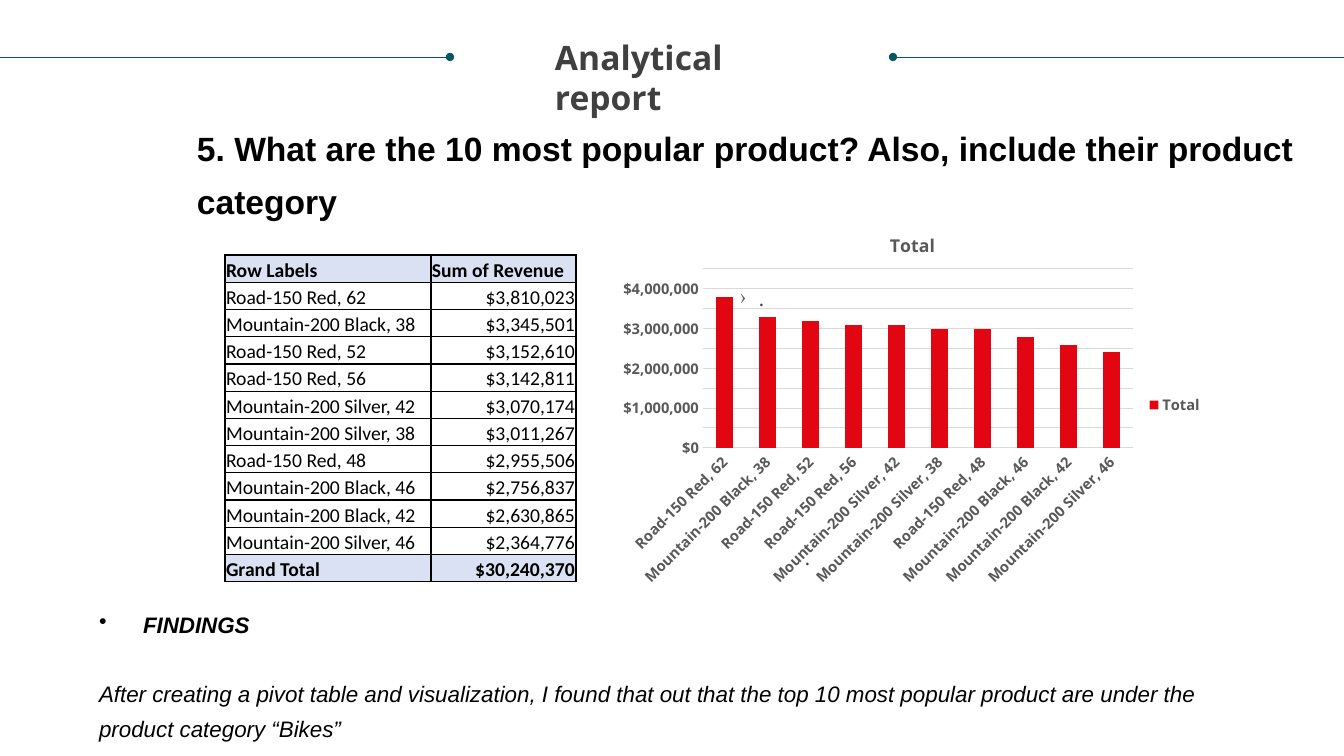
from lxml.etree import SubElement
from pptx import Presentation
from pptx.chart.data import CategoryChartData
from pptx.dml.color import RGBColor
from pptx.enum.chart import XL_CHART_TYPE, XL_LEGEND_POSITION, XL_TICK_MARK
from pptx.enum.shapes import MSO_CONNECTOR
from pptx.enum.text import MSO_ANCHOR, MSO_AUTO_SIZE, PP_ALIGN
from pptx.oxml import parse_xml
from pptx.oxml.ns import nsdecls, qn
from pptx.util import Pt

PX = 914400 / 100.8
COLORS = {"ink": "000000", "title": "404040", "rule": "085764", "band": "D9E1F2",
          "axis": "595959", "grid": "D9D9D9", "bar": "E20613", "chevron": "585858"}
REVENUE = [
    ("Road-150 Red, 62", 3810023), ("Mountain-200 Black, 38", 3345501),
    ("Road-150 Red, 52", 3152610), ("Road-150 Red, 56", 3142811),
    ("Mountain-200 Silver, 42", 3070174), ("Mountain-200 Silver, 38", 3011267),
    ("Road-150 Red, 48", 2955506), ("Mountain-200 Black, 46", 2756837),
    ("Mountain-200 Black, 42", 2630865), ("Mountain-200 Silver, 46", 2364776),
]
GRAND_TOTAL = 30240370


def px(length):
    return round(length * PX)


def rgb(name):
    return RGBColor.from_string(COLORS[name])


def style_font(font, size, color, face, bold=False, italic=False):
    font.size, font.name, font.bold, font.italic = Pt(size), face, bold, italic
    font.color.rgb = rgb(color)


def write(paragraph, text, size=16, color="ink", face="Arial", bold=False, italic=False,
          align=PP_ALIGN.LEFT, spacing=1.0, before=0, left=0, hanging=0,
          bullet=None, bullet_color="ink"):
    paragraph.alignment, paragraph.line_spacing = align, spacing
    paragraph.space_before = Pt(before)
    properties = paragraph._p.get_or_add_pPr()
    properties.set("marL", str(px(left)))
    properties.set("indent", str(-px(hanging)))
    if bullet:
        tint = SubElement(properties, qn("a:buClr"))
        SubElement(tint, qn("a:srgbClr"), val=COLORS[bullet_color])
        SubElement(properties, qn("a:buChar"), char=bullet)
    run = paragraph.add_run()
    run.text = text
    style_font(run.font, size, color, face, bold, italic)


class Report:
    """Holds the report style and the slide being built."""

    def __init__(self, deck):
        self.slide = deck.slides.add_slide(deck.slide_layouts[5])
        self.shapes = self.slide.shapes

    def frame(self, shape, margins, grow=True):
        frame = shape.text_frame
        frame.word_wrap, frame.vertical_anchor = True, MSO_ANCHOR.TOP
        frame.auto_size = MSO_AUTO_SIZE.SHAPE_TO_FIT_TEXT if grow else MSO_AUTO_SIZE.NONE
        (frame.margin_left, frame.margin_top,
         frame.margin_right, frame.margin_bottom) = map(px, margins)
        return frame

    def title(self, text, left, top, width, height):
        title = self.shapes.title
        title.left, title.top, title.width, title.height = map(px, (left, top, width, height))
        write(self.frame(title, (10, 5, 10, 5)).paragraphs[0], text, size=24,
              color="title", face="Noto Sans", bold=True)

    def text(self, box, entries, margins=(10, 5, 10, 5), grow=True):
        frame = self.frame(self.shapes.add_textbox(*map(px, box)), margins, grow)
        for index, (words, style) in enumerate(entries):
            write(frame.add_paragraph() if index else frame.paragraphs[0], words, **style)

    def rule(self, start, end, y, dot):
        rule = self.shapes.add_connector(MSO_CONNECTOR.STRAIGHT, px(start), px(y), px(end), px(y))
        rule.line.color.rgb, rule.line.width = rgb("rule"), Pt(0.5)
        SubElement(rule.line._get_or_add_ln(), qn(f"a:{dot}"), type="oval")
        SubElement(rule._element.spPr, qn("a:effectLst"))

    def table(self, box, widths, rows):
        table = self.shapes.add_table(len(rows), len(widths), *map(px, box)).table
        for column, width in zip(table.columns, widths):
            column.width = px(width)
        for r, row in enumerate(rows):
            for c, words in enumerate(row):
                self.cell(table.cell(r, c), words, r in (0, len(rows) - 1),
                          PP_ALIGN.RIGHT if r and c else PP_ALIGN.LEFT)

    def cell(self, cell, words, banded, align):
        cell.margin_left = cell.margin_top = cell.margin_right = px(1)
        cell.margin_bottom, cell.vertical_anchor = 0, MSO_ANCHOR.BOTTOM
        write(cell.text_frame.paragraphs[0], words, size=14, face="Calibri",
              bold=banded, align=align)
        properties = cell._tc.get_or_add_tcPr()
        for side in ("lnL", "lnR", "lnT", "lnB"):
            border = SubElement(properties, qn(f"a:{side}"), w=str(Pt(1)))
            SubElement(SubElement(border, qn("a:solidFill")), qn("a:srgbClr"), val=COLORS["ink"])
        if banded:
            cell.fill.solid()
            cell.fill.fore_color.rgb = rgb("band")
        else:
            cell.fill.background()

    def chart(self, box, name, records, plot_box):
        data = CategoryChartData(number_format='"$"#,##0')
        data.categories = [product for product, _ in records]
        data.add_series(name, [round(revenue, -5) for _, revenue in records])
        chart = self.shapes.add_chart(XL_CHART_TYPE.COLUMN_CLUSTERED, *map(px, box), data).chart
        style_font(chart.font, 10.5, "axis", "Noto Sans", bold=True)
        chart.has_title = True
        write(chart.chart_title.text_frame.paragraphs[0], name, size=12.6, color="axis",
              face="Noto Sans", bold=True, align=PP_ALIGN.CENTER)
        chart.has_legend = True
        chart.legend.position, chart.legend.include_in_layout = XL_LEGEND_POSITION.RIGHT, False
        style_font(chart.legend.font, 10.5, "axis", "Noto Sans", bold=True)
        plot = chart.plots[0]
        plot.gap_width, plot.vary_by_categories = 150, False
        bars = plot.series[0].format.fill
        bars.solid()
        bars.fore_color.rgb = rgb("bar")
        for axis in (chart.category_axis, chart.value_axis):
            axis.major_tick_mark = axis.minor_tick_mark = XL_TICK_MARK.NONE
            axis.format.line.fill.background()
            style_font(axis.tick_labels.font, 10.5, "axis", "Noto Sans", bold=True)
        chart.category_axis._element.txPr.find(qn("a:bodyPr")).set("rot", "-2700000")
        values = chart.value_axis
        values.minimum_scale, values.maximum_scale, values.major_unit = 0, 4500000, 500000
        values.tick_labels.number_format = '"$"#,##0'
        values.tick_labels.number_format_is_linked = False
        values.major_gridlines.format.line.color.rgb = rgb("grid")
        values.major_gridlines.format.line.width = Pt(0.75)
        self.place_plot(chart, box, plot_box)

    def place_plot(self, chart, box, plot_box):
        left, top, width, height = box
        x, y, w, h = plot_box
        parts = ((x - left) / width, (y - top) / height, w / width, h / height)
        sizes = "".join(f'<c:{key} val="{part:.4f}"/>' for key, part in zip("xywh", parts))
        layout = parse_xml(
            f'<c:layout {nsdecls("c")}><c:manualLayout><c:layoutTarget val="inner"/>'
            f'<c:xMode val="edge"/><c:yMode val="edge"/>{sizes}</c:manualLayout></c:layout>')
        area = chart._chartSpace.chart.plotArea
        for automatic in area.findall(qn("c:layout")):
            area.remove(automatic)
        area.insert(0, layout)


deck = Presentation()
deck.slide_width, deck.slide_height = px(1344), px(756)
report = Report(deck)
report.title("Analytical report", 545, 32, 252, 50)
report.rule(893, 1344, 57, "headEnd")
report.rule(0, 450, 57, "tailEnd")

point = dict(size=14, color="title", face="Noto Sans")
chevron = dict(left=19, hanging=19, bullet="›", bullet_color="chevron")
report.text((740, 287, 459, 24), [(".", point | chevron)], (0, 0, 0, 0))
report.text((805, 546, 459, 24), [(".", point)], (0, 0, 0, 0))

question = "5. What are the 10 most popular product? Also, include their product category"
report.text((172, 73, 1135, 142), [(question, dict(size=24, bold=True, spacing=1.3, left=15))],
            (10, 43, 10, 10), grow=False)

records = REVENUE + [("Grand Total", GRAND_TOTAL)]
report.table((225, 255, 351, 327), (206, 145),
             [("Row Labels", "Sum of Revenue")]
             + [(product, f"${revenue:,}") for product, revenue in records])
report.chart((612, 215, 601, 380), "Total", REVENUE, (703, 269, 430, 179))

finding = ("After creating a pivot table and visualization, I found that out that the top 10 "
           "most popular product are under the product category “Bikes”")
report.text((75, 598, 1194, 147), [
    ("FINDINGS", dict(bold=True, italic=True, spacing=1.3, left=58, hanging=44, bullet="•")),
    (finding, dict(italic=True, spacing=1.3, before=24.5, left=14)),
])
deck.save("out.pptx")
